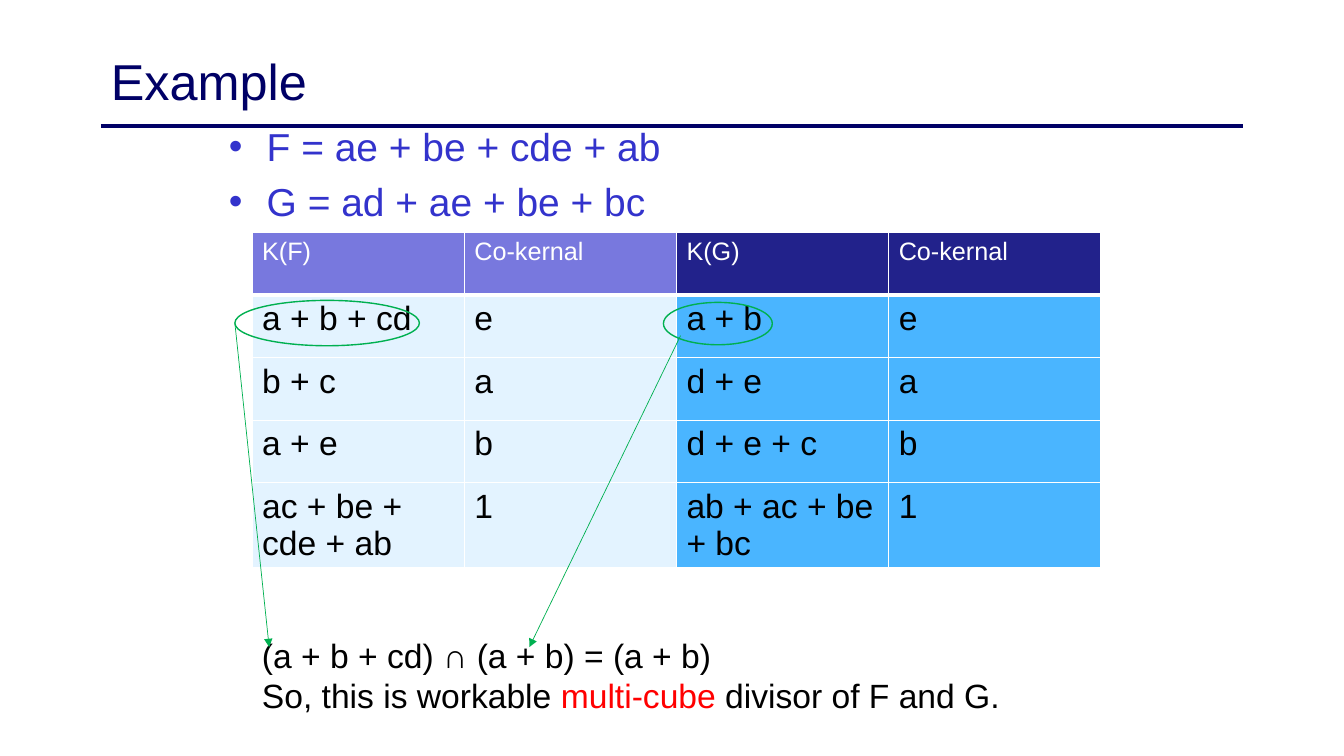
"""Build a slide that finds a common multi-cube divisor of F and G from their kernels."""
from lxml import etree
from pptx import Presentation
from pptx import util as u
from pptx.dml import color
from pptx.enum import shapes, text
from pptx.oxml import ns

COLORS = {
    "navy": "000066", "blue": "3333CC", "white": "FFFFFF", "black": "000000",
    "red": "FF0000", "green": "00B050", "f_head": "7878DE", "g_head": "22228B",
    "f_cell": "E3F3FF", "g_cell": "4AB5FF",
}


def write(paragraph, wording, size, shade, bold=False):
    run = paragraph.add_run()
    run.text = wording
    formats = {"name": "Arial", "size": u.Pt(size), "bold": bold}
    for key, value in formats.items():
        setattr(run.font, key, value)
    run.font.color.rgb = color.RGBColor.from_string(COLORS[shade])


def draw_line(start, end, shade, width, arrow=False):
    ends = [u.Inches(n) for n in (*start, *end)]
    line = slide.shapes.add_connector(shapes.MSO_CONNECTOR.STRAIGHT, *ends)
    line.line.width = u.Pt(width)
    line.line.color.rgb = color.RGBColor.from_string(COLORS[shade])
    if arrow:
        etree.SubElement(line.line._get_or_add_ln(), ns.qn("a:tailEnd"), type="triangle")
    etree.SubElement(line._element.spPr, ns.qn("a:effectLst"))


deck = Presentation()
deck.slide_width, deck.slide_height = u.Inches(13.33), u.Inches(7.5)
slide = deck.slides.add_slide(deck.slide_layouts[1])
draw_line((1, 1.25), (12.33, 1.25), "navy", 2.25)

heading, functions = slide.placeholders
for part, box, anchor in (
    (heading, (1, 0.17, 11.33, 1.25), text.MSO_ANCHOR.MIDDLE),
    (functions, (2.17, 1.17, 9, 1.08), text.MSO_ANCHOR.TOP),
):
    for side, inches in zip(("left", "top", "width", "height"), box):
        setattr(part, side, u.Inches(inches))
    part.text_frame.auto_size = text.MSO_AUTO_SIZE.NONE
    part.text_frame.vertical_anchor = anchor

title_line = heading.text_frame.paragraphs[0]
title_line.alignment = text.PP_ALIGN.LEFT
write(title_line, "Example", 36, "navy")

first_function = functions.text_frame.paragraphs[0]
write(first_function, "F = ae + be + cde + ab", 27.8, "blue")
write(functions.text_frame.add_paragraph(), "G = ad + ae + be + bc", 27.8, "blue")

KERNELS = [
    ("K(F)", "Co-kernal", "K(G)", "Co-kernal"),
    ("a + b + cd", "e", "a + b", "e"),
    ("b + c", "a", "d + e", "a"),
    ("a + e", "b", "d + e + c", "b"),
    ("ac + be + cde + ab", "1", "ab + ac + be + bc", "1"),
]
kernels = slide.shapes.add_table(
    len(KERNELS), len(KERNELS[0]), u.Inches(2.5), u.Inches(2.31),
    u.Inches(8.42), u.Inches(0.62 * len(KERNELS)),
).table
kernels.horz_banding = False
for r, entries in enumerate(KERNELS):
    for c, entry in enumerate(entries):
        cell = kernels.cell(r, c)
        level = "cell" if r else "head"
        write(cell.text_frame.paragraphs[0], entry, 24 if r else 18, "black" if r else "white")
        for edge in ("lnL", "lnR", "lnT", "lnB"):
            width = u.Pt(3 if r == 0 and edge == "lnB" else 1)
            border = etree.SubElement(cell._tc.get_or_add_tcPr(), ns.qn(f"a:{edge}"), w=str(width))
            paint = etree.SubElement(border, ns.qn("a:solidFill"))
            etree.SubElement(paint, ns.qn("a:srgbClr"), val=COLORS["white"])
        cell.fill.solid()
        cell.fill.fore_color.rgb = color.RGBColor.from_string(COLORS[f"{'ffgg'[c]}_{level}"])

conclusion = slide.shapes.add_textbox(
    u.Inches(2.5), u.Inches(6.25), u.Inches(8.33), u.Inches(0.91)
).text_frame
conclusion.word_wrap = True
conclusion.auto_size = text.MSO_AUTO_SIZE.SHAPE_TO_FIT_TEXT
intersection, verdict = conclusion.paragraphs[0], conclusion.add_paragraph()
for sentence, wording, shade, bold in (
    (intersection, "(a + b + cd) ", "black", False),
    (intersection, "∩ ", "black", True),
    (intersection, "(a + b) = (a + b)", "black", False),
    (verdict, "So, this is workable ", "black", False),
    (verdict, "multi-cube ", "red", False),
    (verdict, "divisor of F and G.", "black", False),
):
    write(sentence, wording, 24, shade, bold)

for box in ((2.33, 2.98, 1.83, 0.45), (6.58, 3, 1.08, 0.42)):
    ring = slide.shapes.add_shape(shapes.MSO_SHAPE.OVAL, *(u.Inches(n) for n in box))
    ring.shadow.inherit = False
    ring.fill.background()
    ring.line.width = u.Pt(1)
    ring.line.color.rgb = color.RGBColor.from_string(COLORS["green"])

for start, end in (((6.75, 3.33), (5.25, 6.42)), ((2.33, 3.21), (2.67, 6.42))):
    draw_line(start, end, "green", 0.5, arrow=True)

deck.save("out.pptx")
